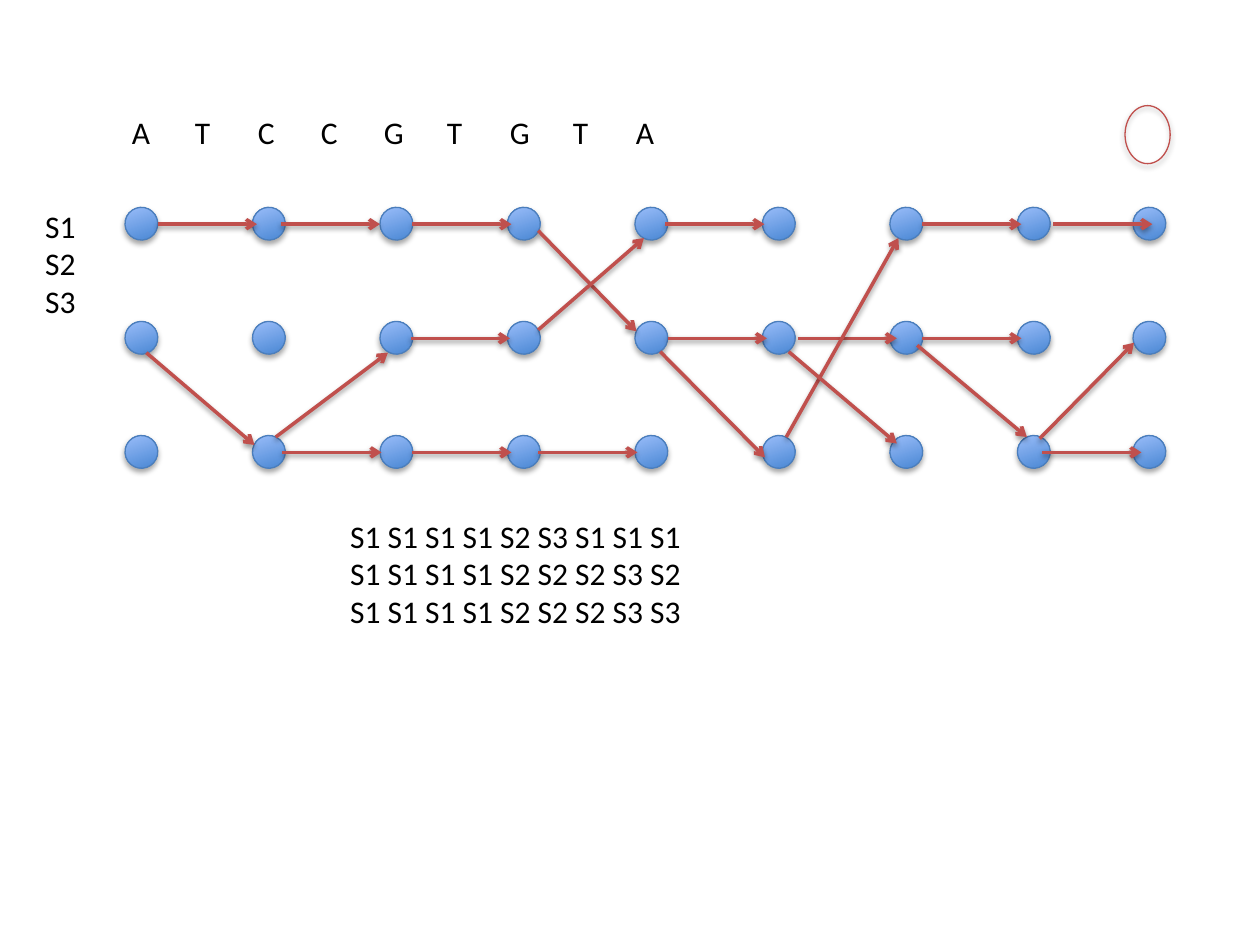
from lxml import etree
from pptx import Presentation
from pptx.dml.color import RGBColor
from pptx.enum import shapes
from pptx.oxml import parse_xml
from pptx.oxml.ns import nsdecls, qn
from pptx.util import Cm, Pt

RED = "C0504D"


def rgb(value):
    return RGBColor.from_string(value)


def style_outline(sp, color, width, opacity, distance):
    """Set the line and a soft shadow falling straight down."""
    sp.line.color.rgb = rgb(color)
    sp.line.width = Pt(width)
    props = sp._element.spPr
    for old in props.findall(qn("a:effectLst")):
        props.remove(old)
    props.append(parse_xml(
        f'<a:effectLst {nsdecls("a")}><a:outerShdw blurRad="{Pt(3.1)}" '
        f'dist="{Pt(distance)}" dir="5400000" rotWithShape="0">'
        f'<a:srgbClr val="000000"><a:alpha val="{opacity * 1000}"/></a:srgbClr>'
        '</a:outerShdw></a:effectLst>'))


prs = Presentation()
prs.slide_width, prs.slide_height = Cm(25.4), Cm(19.05)
s = prs.slides.add_slide(prs.slide_layouts[6])

# Observed sequence, state names and decoded paths
texts = [
    (2.41, 2.16, 21.79, 1.02, True, ["A\tT\tC\tC\tG\tT\tG\tT\tA"]),
    (0.66, 4.04, 1.3, 5.64, False, ["S1", "S2", "S3"]),
    (6.81, 10.29, 14.86, 2.57, True, ["S1 S1 S1 S1 S2 S3 S1 S1 S1",
                                      "S1 S1 S1 S1 S2 S2 S2 S3 S2",
                                      "S1 S1 S1 S1 S2 S2 S2 S3 S3"]),
]
for x, y, w, h, wrap, lines in texts:
    tf = s.shapes.add_textbox(Cm(x), Cm(y), Cm(w), Cm(h)).text_frame
    tf.word_wrap = wrap
    tf.text = "\n".join(lines)
    for p in tf.paragraphs:
        p.font.name = "Calibri"
        p.font.size = Pt(18)
        p.font.color.rgb = rgb("000000")

# Trellis nodes: nine positions by three states
columns = [2.52 + 2.57 * i for i in range(8)] + [22.84]
for x in columns:
    for row in range(3):
        sp = s.shapes.add_shape(shapes.MSO_SHAPE.OVAL, Cm(x), Cm(4.18 + 2.3 * row),
                                Cm(0.66), Cm(0.66))
        sp.rotation = 341
        sp.fill.gradient()
        sp.fill.gradient_angle = 90
        for stop, position, color in zip(sp.fill.gradient_stops, (0, 1),
                                         ("3F80CE", "A4C4FF")):
            stop.position = position
            stop.color.rgb = rgb(color)
        style_outline(sp, "4B7EBC", 0.75, 35, 1.8)

# Empty marker ring
ring = s.shapes.add_shape(shapes.MSO_SHAPE.OVAL, Cm(22.68), Cm(2.13), Cm(0.91), Cm(1.17))
ring.fill.background()
style_outline(ring, RED, 0.75, 35, 1.8)

# Transitions: level ones share a length, the others change state
level_starts = {
    4.52: [3.18, 5.66, 8.31, 13.41, 18.59, 21.23],
    6.82: [8.28, 13.46, 16.08, 18.59],
    9.12: [5.69, 8.31, 10.85, 21.01],
}
arrows = [(x, y, x + 2, y) for y, starts in level_starts.items() for x in starts]
arrows += [
    (2.95, 7.11, 5.13, 8.97),
    (5.56, 8.81, 7.82, 7.11),
    (10.85, 4.65, 12.83, 6.68),
    (10.85, 6.65, 12.98, 4.8),
    (13.31, 7.09, 15.42, 9.22),
    (15.85, 8.81, 18.11, 4.8),
    (15.9, 7.09, 18.08, 8.94),
    (18.49, 6.96, 20.7, 8.81),
    (20.96, 8.84, 22.86, 6.91),
]
for ends in arrows:
    arrow = s.shapes.add_connector(shapes.MSO_CONNECTOR.STRAIGHT, *map(Cm, ends))
    style_outline(arrow, RED, 2, 38, 1.6)
    etree.SubElement(arrow.line._get_or_add_ln(), qn("a:tailEnd"), type="arrow")

prs.save("out.pptx")
